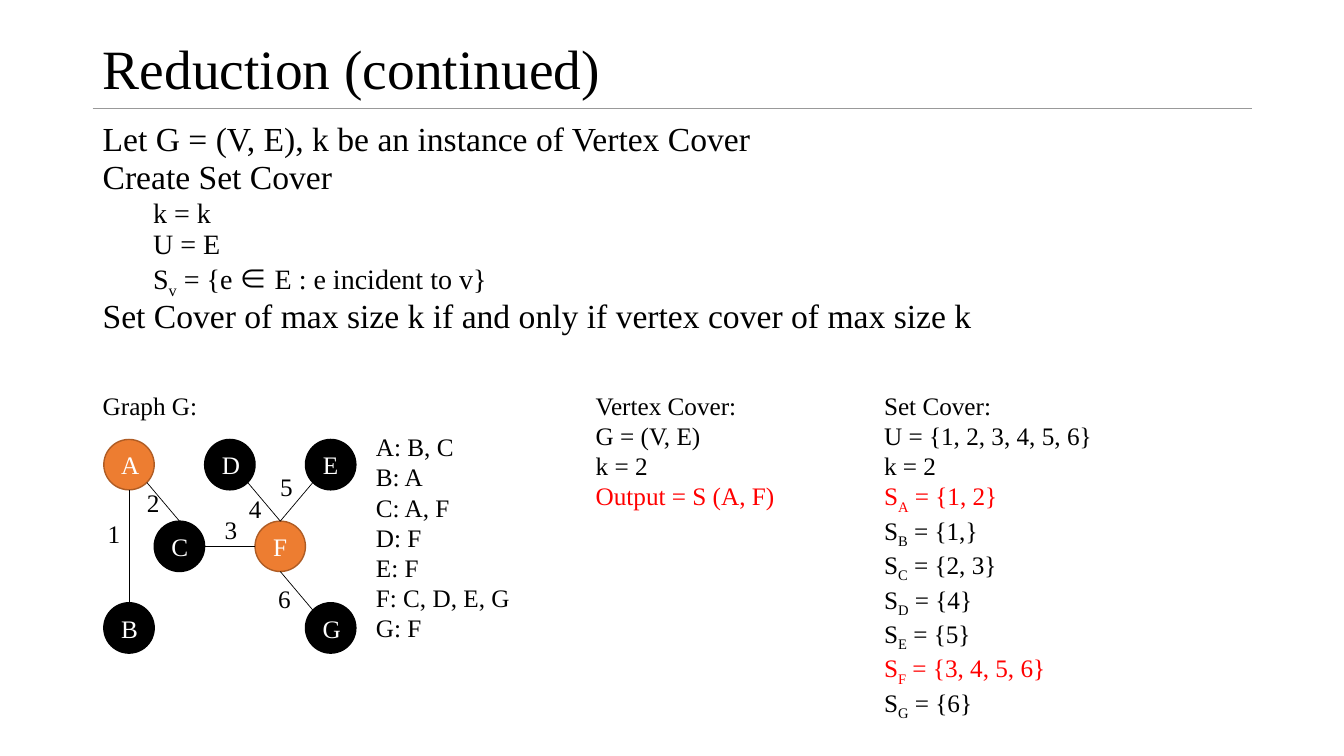
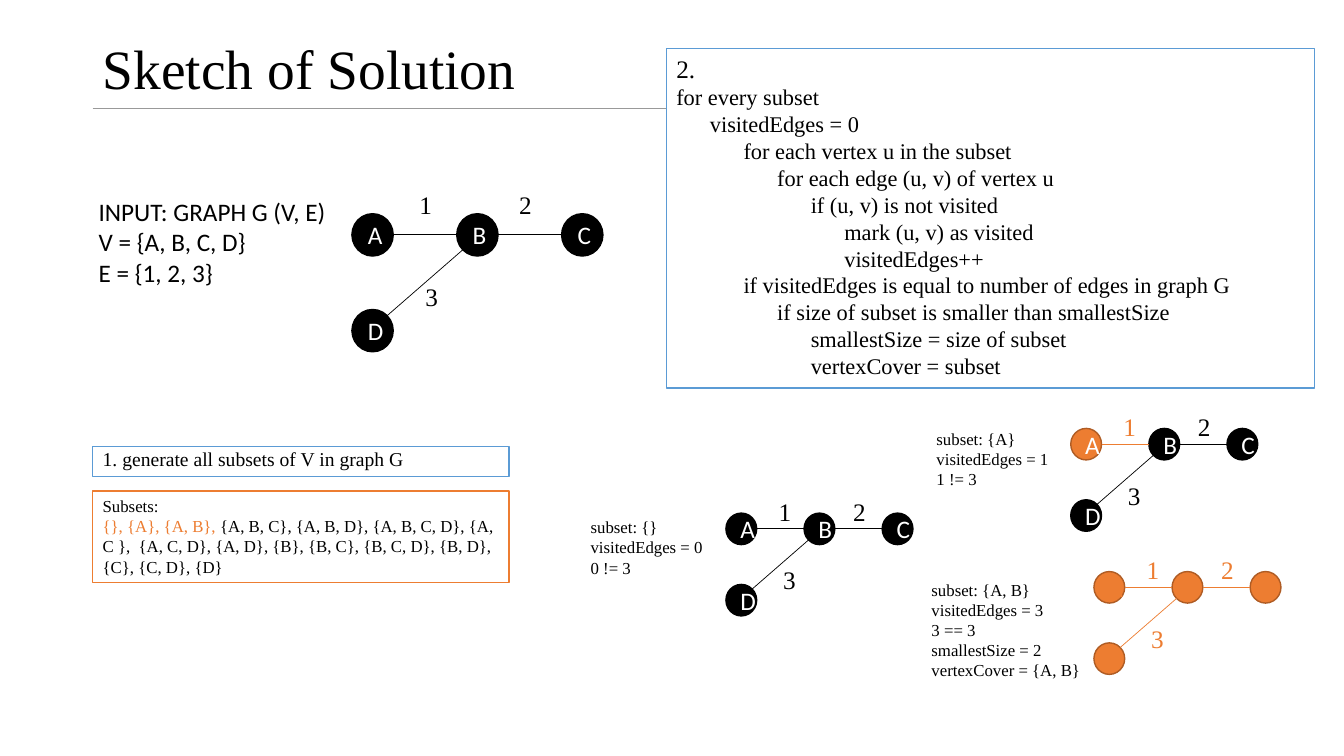
from math import sqrt

from lxml import etree
from pptx import Presentation
from pptx.dml.color import RGBColor
from pptx.enum.shapes import MSO_CONNECTOR, MSO_SHAPE
from pptx.enum.text import MSO_ANCHOR, MSO_AUTO_SIZE, PP_ALIGN
from pptx.oxml.ns import qn
from pptx.util import Inches, Pt

LINE = MSO_CONNECTOR.STRAIGHT
OVAL, RECT = MSO_SHAPE.OVAL, MSO_SHAPE.RECTANGLE
LEFT, CENTER = PP_ALIGN.LEFT, PP_ALIGN.CENTER
TOP, MIDDLE = MSO_ANCHOR.TOP, MSO_ANCHOR.MIDDLE
NO_FIT = MSO_AUTO_SIZE.NONE

BLACK = RGBColor(0x00, 0x00, 0x00)
WHITE = RGBColor(0xFF, 0xFF, 0xFF)
RED = RGBColor(0xFF, 0x00, 0x00)
ORANGE = RGBColor(0xED, 0x7D, 0x31)
RUST = RGBColor(0xAF, 0x5C, 0x24)
BLUE = RGBColor(0x5B, 0x9B, 0xD5)
GRAY = RGBColor(0x99, 0x99, 0x99)

SERIF, SANS, SYMBOL = "Times New Roman", "Calibri", "Noto Sans CJK JP"
SUB = {"sub": True}

# Content of slide 1. A line is a string or (runs, format); a run is (text, format).
ITEM = {"size": 20, "indent": 0.5}
REDUCTION = [
    "Let G = (V, E), k be an instance of Vertex Cover",
    "Create Set Cover",
    ("k = k", ITEM),
    ("U = E", ITEM),
    ([("S", {}), ("v", SUB), (" = {e ", {}), ("∈", {"font": SYMBOL}),
      (" E : e incident to v}", {})], ITEM),
    "Set Cover of max size k if and only if vertex cover of max size k",
]
VERTEX_SETS = [("A", "{1, 2}"), ("B", "{1,}"), ("C", "{2, 3}"), ("D", "{4}"),
               ("E", "{5}"), ("F", "{3, 4, 5, 6}"), ("G", "{6}")]
COVER = "AF"
SET_COVER = ["Set Cover:", "U = {1, 2, 3, 4, 5, 6}", "k = 2"] + [
    ([("S", {}), (v, SUB), (f" = {edges}", {})], {"color": RED if v in COVER else BLACK})
    for v, edges in VERTEX_SETS]
VERTEX_COVER = ["Vertex Cover:", "G = (V, E)", "k = 2",
                ("Output = S (A, F)", {"color": RED})]
ADJACENCY = ["A: B, C", "B: A", "C: A, F", "D: F", "E: F", "F: C, D, E, G", "G: F"]

# Graphs: node -> (column, row); edge -> (node, side, node, side); label -> offset
LARGE_NODES = {"A": (0, 0), "F": (3, 1), "G": (4, 2), "C": (1, 1),
               "D": (2, 0), "B": (0, 2), "E": (4, 0)}
LARGE_EDGES = {"1": ("A", "s", "B", "n"), "2": ("A", "se", "C", "n"),
               "3": ("C", "e", "F", "w"), "4": ("D", "se", "F", "n"),
               "5": ("F", "n", "E", "sw"), "6": ("F", "s", "G", "nw")}
LARGE_LABELS = {"1": (-0.06, 0.73), "2": (0.33, 0.43), "3": (1.1, 0.69),
                "4": (1.34, 0.48), "5": (1.65, 0.27), "6": (1.63, 1.38)}
SMALL_NODES = {"A": (0, 0), "D": (0, 1), "B": (1, 0), "C": (2, 0)}
SMALL_EDGES = {"1": ("A", "e", "B", "w"), "2": ("B", "e", "C", "w"),
               "3": ("D", "ne", "B", "sw")}
SMALL_LABELS = {"1": (0.57, -0.29), "2": (1.56, -0.29), "3": (0.63, 0.62)}

# Content of slide 2
INPUT = ["INPUT: GRAPH G (V, E)", "V = {A, B, C, D}", "E = {1, 2, 3}"]
SUBSETS = [
    "Subsets:",
    ([("{}, {A}, {A, B}, ", {"color": ORANGE}),
      ("{A, B, C}, {A, B, D}, {A, B, C, D}, {A, C },  {A, C, D}, {A, D}, "
       "{B}, {B, C}, {B, C, D}, {B, D},", {})], {}),
    "{C}, {C, D}, {D}",
]
CODE = [  # indent level, statement
    (0, "for every subset"),
    (1, "visitedEdges = 0"),
    (2, "for each vertex u in the subset"),
    (3, "for each edge (u, v) of vertex u"),
    (4, "if (u, v) is not visited"),
    (5, "mark (u, v) as visited"),
    (5, "visitedEdges++"),
    (2, "if visitedEdges is equal to number of edges in graph G"),
    (3, "if size of subset is smaller than smallestSize"),
    (4, "smallestSize = size of subset"),
    (4, "vertexCover = subset"),
]
CODE_LINES = [("2.", {"size": 18})] + [(s, {"indent": n / 3}) for n, s in CODE]
STEPS = [  # text box, lines, graph corner, orange nodes, orange edges, node text colour
    ((9.19, 4.2, 1.44, 0.71), ["subset: {A}", "visitedEdges = 1", "1 != 3"],
     (10.62, 4.25), "A", "1", WHITE),
    ((9.14, 5.7, 1.71, 1.11),
     ["subset: {A, B}", "visitedEdges = 3", "3 == 3", "smallestSize = 2",
      "vertexCover = {A, B}"],
     (10.85, 5.67), "ABCD", "123", ORANGE),
    ((5.76, 5.08, 1.4, 0.71), ["subset: {}", "visitedEdges = 0", "0 != 3"],
     (7.2, 5.09), "", "", WHITE),
]


def write(tf, lines, anchor=TOP, align=LEFT, spacing=1.0, **fmt):
    """Fill a text frame; fmt holds size, font, color, indent and sub."""
    tf.word_wrap = True
    tf.auto_size = NO_FIT
    tf.vertical_anchor = anchor
    for i, line in enumerate(lines):
        content, line_fmt = (line, {}) if isinstance(line, str) else line
        runs = [(content, {})] if isinstance(content, str) else content
        p = tf.paragraphs[0] if i == 0 else tf.add_paragraph()
        p.alignment = align
        p.line_spacing = spacing
        indent = line_fmt.get("indent", 0)
        if indent:
            p._p.get_or_add_pPr().set("marL", str(Inches(indent)))
        for text, run_fmt in runs:
            f = {"size": 18, "font": SERIF, "color": BLACK, **fmt, **line_fmt, **run_fmt}
            r = p.add_run()
            r.text = text
            r.font.size = Pt(f["size"])
            r.font.name = f["font"]
            r.font.color.rgb = f["color"]
            if f.get("sub"):
                r._r.get_or_add_rPr().set("baseline", "-25000")


def add_text(slide, box, lines, **fmt):
    tb = slide.shapes.add_textbox(*map(Inches, box))
    write(tb.text_frame, lines, **fmt)


def add_box(slide, kind, box, fill, line, lines, **fmt):
    sp = slide.shapes.add_shape(kind, *map(Inches, box))
    sp.shadow.inherit = False
    sp.fill.solid()
    sp.fill.fore_color.rgb = fill
    sp.line.color.rgb = line
    sp.line.width = Pt(1)
    write(sp.text_frame, lines, **fmt)


def add_line(slide, start, end, color):
    c = slide.shapes.add_connector(LINE, *map(Inches, (*start, *end)))
    c.line.color.rgb = color
    c.line.width = Pt(0.5)
    etree.SubElement(c._element.spPr, qn("a:effectLst"))


def rim_point(corner, size, side):
    """Point on an ellipse in a compass direction."""
    dx = ("e" in side) - ("w" in side)
    dy = ("s" in side) - ("n" in side)
    k = 1 / sqrt(dx * dx + dy * dy)
    return tuple(c + s / 2 * (1 + d * k) for c, s, d in zip(corner, size, (dx, dy)))


def add_graph(slide, origin, nodes, edges, labels, step, size, label_size, scale=1,
              hot_nodes="", hot_edges="", font=SANS, text_color=WHITE):
    def place(dx, dy):
        return origin[0] + dx * scale, origin[1] + dy * scale

    size = [s * scale for s in size]
    corners = {n: place(col * step[0], row * step[1]) for n, (col, row) in nodes.items()}
    for name, corner in corners.items():
        fill, line = (ORANGE, RUST) if name in hot_nodes else (BLACK, BLACK)
        add_box(slide, OVAL, (*corner, *size), fill, line, [name],
                anchor=MIDDLE, align=CENTER, font=font, color=text_color)
    for name, (a, a_side, b, b_side) in edges.items():
        color = ORANGE if name in hot_edges else BLACK
        add_line(slide, rim_point(corners[a], size, a_side),
                 rim_point(corners[b], size, b_side), color)
        add_text(slide, (*place(*labels[name]), *(s * scale for s in label_size)),
                 [name], color=color)


def add_small_graph(slide, origin, **options):
    add_graph(slide, origin, SMALL_NODES, SMALL_EDGES, SMALL_LABELS,
              (1.04, 0.95), (0.41, 0.42), (0.41, 0.57), **options)


def add_slide(prs, title):
    slide = prs.slides.add_slide(prs.slide_layouts[5])
    add_line(slide, (0.92, 1.08), (12.42, 1.08), GRAY)
    t = slide.shapes.title
    t.left, t.top, t.width, t.height = map(Inches, (0.92, 0.38, 11.5, 0.66))
    write(t.text_frame, [title], anchor=MIDDLE, spacing=0.9, size=39.6)
    return slide


def reduction_slide(prs):
    slide = add_slide(prs, "Reduction (continued)")
    add_text(slide, (0.92, 1.15, 11.5, 2.25), REDUCTION, size=24, spacing=0.95)
    # Graph and its adjacency list
    add_text(slide, (0.92, 3.82, 1.61, 0.4), ["Graph G:"])
    add_graph(slide, (1.03, 4.36), LARGE_NODES, LARGE_EDGES, LARGE_LABELS,
              (0.5, 0.81), (0.5, 0.5), (0.26, 0.4), hot_nodes=COVER, font=SERIF)
    add_text(slide, (3.63, 4.23, 1.55, 2.52), ADJACENCY)
    # The two instances
    add_text(slide, (5.81, 3.82, 2.56, 1.31), VERTEX_COVER)
    add_text(slide, (8.67, 3.82, 3.27, 3.6), SET_COVER)


def solution_slide(prs):
    slide = add_slide(prs, "Sketch of Solution")
    # Input
    add_text(slide, (0.88, 1.9, 4, 1.01), INPUT, font=SANS)
    add_small_graph(slide, (3.49, 2.12))
    # Algorithm
    add_box(slide, RECT, (0.92, 4.43, 4.13, 0.3), WHITE, BLUE,
            ["1. generate all subsets of V in graph G"], size=14, spacing=0.8)
    add_box(slide, RECT, (0.92, 4.87, 4.13, 0.91), WHITE, ORANGE, SUBSETS, size=12)
    add_box(slide, RECT, (6.61, 0.48, 6.43, 3.37), WHITE, BLUE, CODE_LINES, size=16)
    # Worked steps
    for box, lines, origin, hot_nodes, hot_edges, text_color in STEPS:
        add_text(slide, box, lines, size=12)
        add_small_graph(slide, origin, scale=0.745, hot_nodes=hot_nodes,
                        hot_edges=hot_edges, text_color=text_color)


def main():
    prs = Presentation()
    prs.slide_width, prs.slide_height = Inches(13.33), Inches(7.5)
    reduction_slide(prs)
    solution_slide(prs)
    prs.save("out.pptx")


if __name__ == "__main__":
    main()
